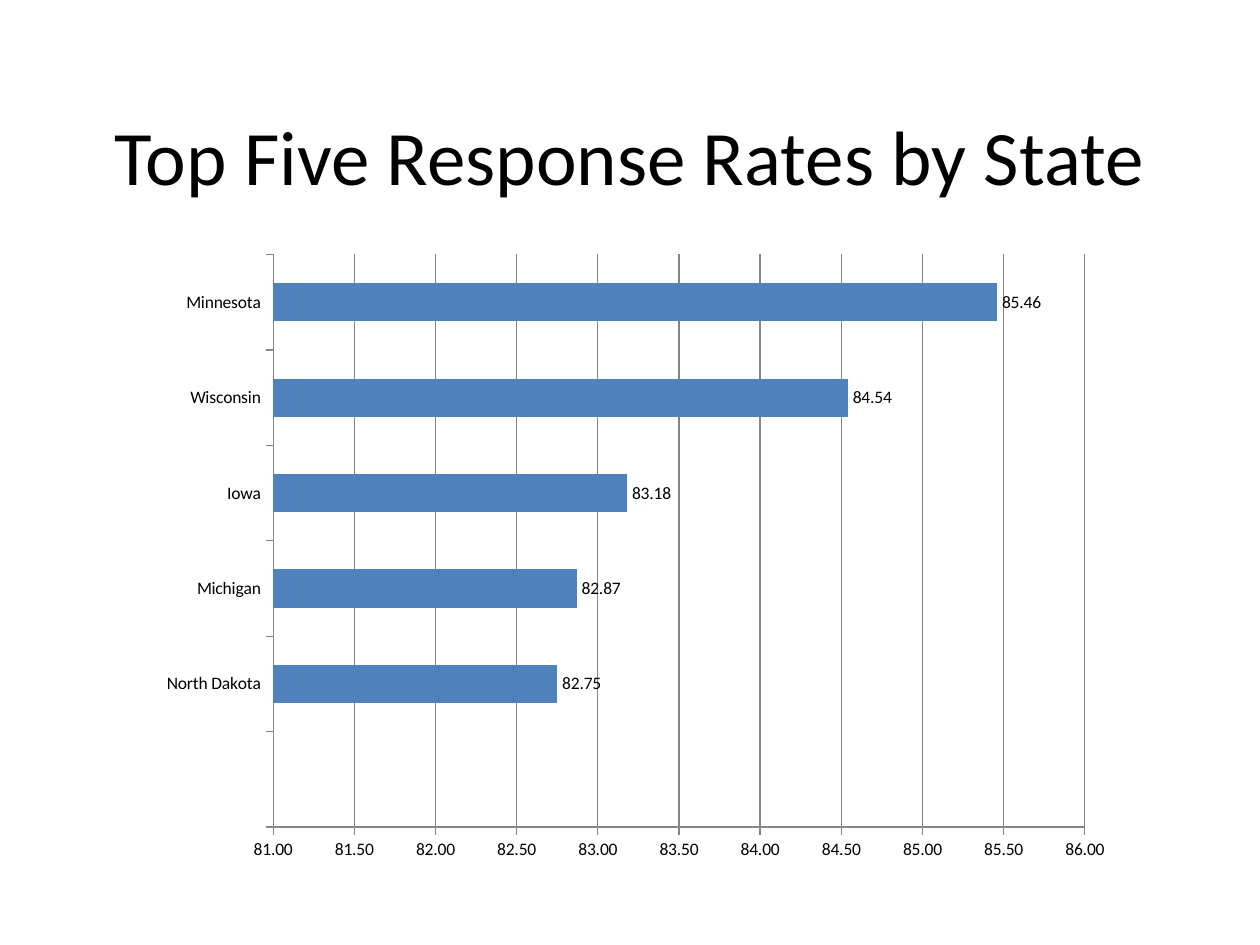
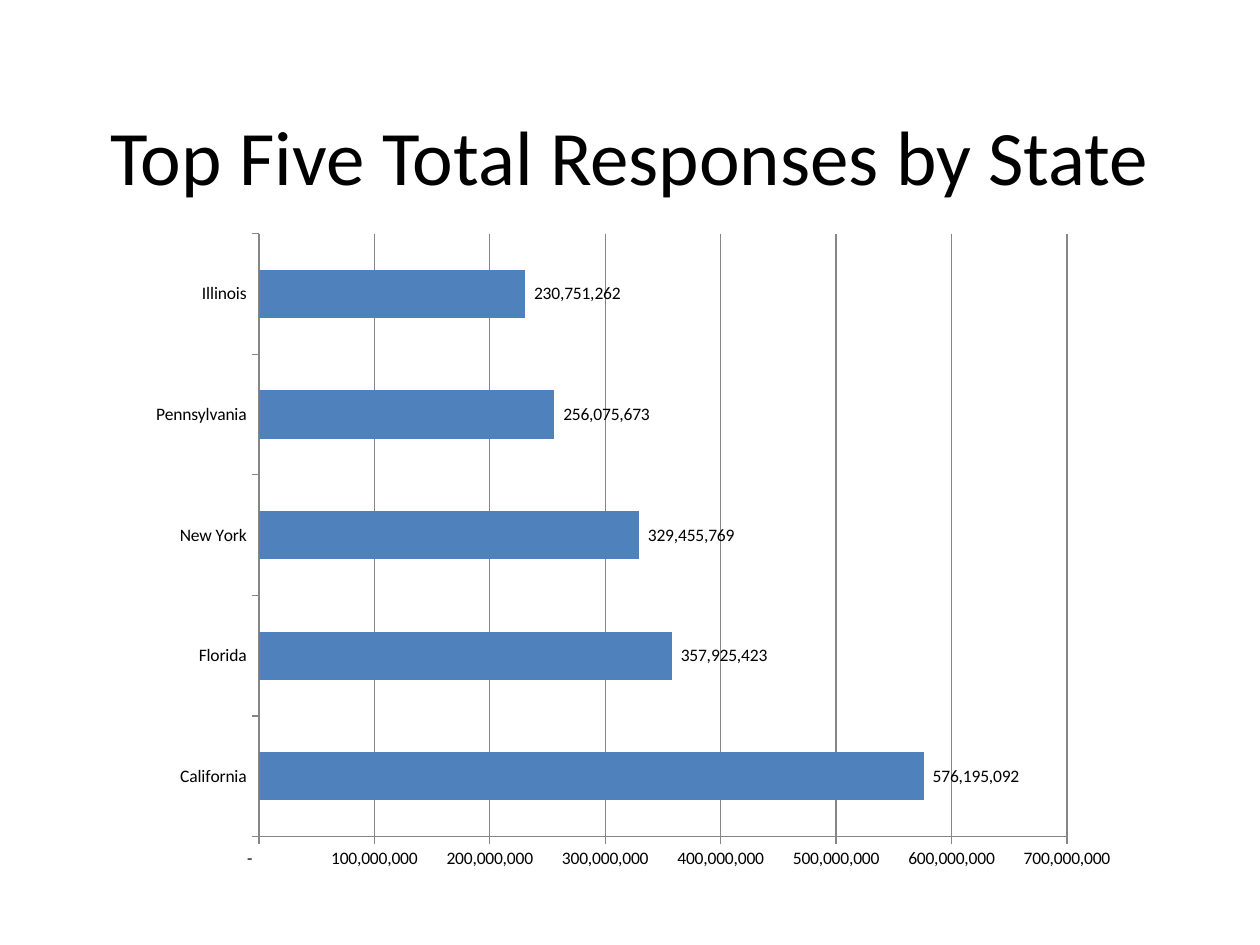
from dataclasses import dataclass

import pptx
import pptx.chart.data
import pptx.dml.color
import pptx.enum.chart
import pptx.enum.text
import pptx.util

Inches = pptx.util.Inches
Pt = pptx.util.Pt
RGBColor = pptx.dml.color.RGBColor


@dataclass(frozen=True)
class Theme:
    font: str = "Calibri"
    text: RGBColor = RGBColor(0x00, 0x00, 0x00)
    bar: RGBColor = RGBColor(0x4F, 0x81, 0xBD)
    rule: RGBColor = RGBColor(0x86, 0x86, 0x86)
    background: RGBColor = RGBColor(0xFF, 0xFF, 0xFF)
    title_size: int = 44
    chart_size: int = 10
    rule_width: float = 0.75
    gap_width: int = 150


THEME = Theme()
TITLE_BOX = (0.75, 0.42, 8.5, 1.61)

RATE_FORMAT = "0.00"
COUNT_FORMAT = r'_(* #,##0_);_(* \(#,##0\);_(* "-"??_);_('

RESPONSE_RATES = {
    "": None,
    "North Dakota": 82.75,
    "Michigan": 82.87,
    "Iowa": 83.18,
    "Wisconsin": 84.54,
    "Minnesota": 85.46,
}
TOTAL_RESPONSES = {
    "California": 576195092,
    "Florida": 357925423,
    "New York": 329455769,
    "Pennsylvania": 256075673,
    "Illinois": 230751262,
}


def inches(box):
    return [Inches(length) for length in box]


def style_font(font, size):
    font.name = THEME.font
    font.size = Pt(size)
    font.color.rgb = THEME.text


def style_rule(line):
    line.color.rgb = THEME.rule
    line.width = Pt(THEME.rule_width)


def add_title_slide(presentation, title):
    slide = presentation.slides.add_slide(presentation.slide_layouts[6])
    slide.background.fill.solid()
    slide.background.fill.fore_color.rgb = THEME.background

    frame = slide.shapes.add_textbox(*inches(TITLE_BOX)).text_frame
    frame.word_wrap = True
    frame.vertical_anchor = pptx.enum.text.MSO_ANCHOR.MIDDLE
    frame.text = title
    heading = frame.paragraphs[0]
    heading.alignment = pptx.enum.text.PP_ALIGN.CENTER
    style_font(heading.runs[0].font, THEME.title_size)
    return slide


def add_state_bars(slide, box, values_by_state, number_format, scale):
    state_data = pptx.chart.data.CategoryChartData(number_format=number_format)
    state_data.categories = list(values_by_state)
    state_data.add_series("Series 1", list(values_by_state.values()))
    chart = slide.shapes.add_chart(
        pptx.enum.chart.XL_CHART_TYPE.BAR_CLUSTERED, *inches(box), state_data
    ).chart
    chart.has_legend = False
    chart.has_title = False
    style_font(chart.font, THEME.chart_size)

    plot = chart.plots[0]
    plot.gap_width = THEME.gap_width
    plot.vary_by_categories = False
    bars = plot.series[0].format.fill
    bars.solid()
    bars.fore_color.rgb = THEME.bar

    plot.has_data_labels = True
    labels = plot.data_labels
    labels.show_value = True
    labels.number_format = number_format
    labels.number_format_is_linked = False
    labels.position = pptx.enum.chart.XL_LABEL_POSITION.OUTSIDE_END
    style_font(labels.font, THEME.chart_size)

    state_axis, value_axis = chart.category_axis, chart.value_axis
    for axis in (state_axis, value_axis):
        axis.major_tick_mark = pptx.enum.chart.XL_TICK_MARK.OUTSIDE
        axis.minor_tick_mark = pptx.enum.chart.XL_TICK_MARK.NONE
        style_rule(axis.format.line)
    state_axis.has_major_gridlines = False
    value_axis.has_major_gridlines = True
    style_rule(value_axis.major_gridlines.format.line)
    value_axis.minimum_scale, value_axis.maximum_scale, value_axis.major_unit = scale
    value_axis.tick_labels.number_format = number_format
    value_axis.tick_labels.number_format_is_linked = False


def main():
    presentation = pptx.Presentation()
    presentation.slide_width = Inches(10)
    presentation.slide_height = Inches(7.5)

    rates_slide = add_title_slide(presentation, "Top Five Response Rates by State")
    add_state_bars(rates_slide, (1.17, 1.92, 7.75, 5), RESPONSE_RATES,
                   RATE_FORMAT, (81, 86, 0.5))

    totals_slide = add_title_slide(presentation, "Top Five Total Responses by State")
    add_state_bars(totals_slide, (1.08, 1.75, 7.92, 5.25), TOTAL_RESPONSES,
                   COUNT_FORMAT, (0, 700_000_000, 100_000_000))

    presentation.save("out.pptx")


if __name__ == "__main__":
    main()
